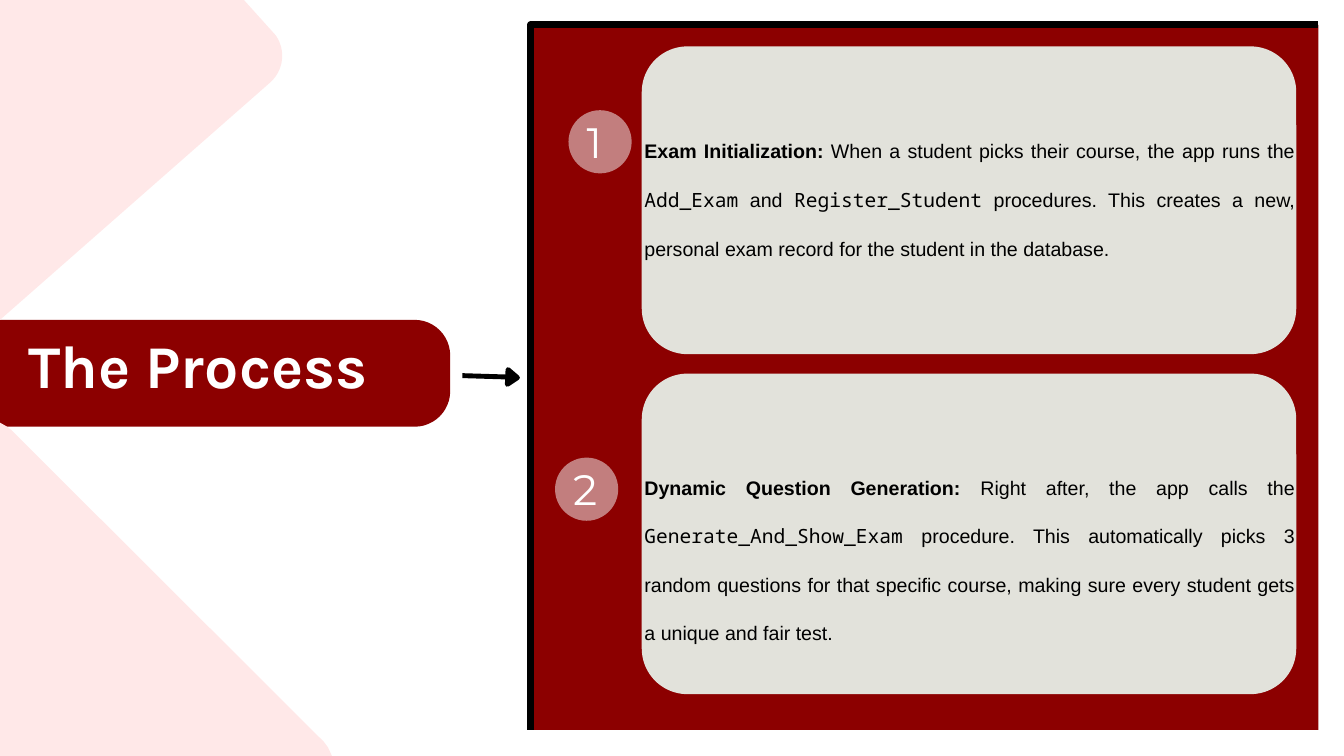
from dataclasses import dataclass
from math import cos, radians, sin

from lxml.etree import SubElement
from pptx import Presentation
from pptx.dml.color import RGBColor
from pptx.enum.shapes import MSO_CONNECTOR, MSO_SHAPE
from pptx.enum.text import PP_ALIGN
from pptx.oxml.ns import qn
from pptx.util import Inches, Pt


@dataclass
class Theme:
    red: str = "8C0000"
    rose: str = "C27E7E"
    pink: str = "FFE8E8"
    stone: str = "E2E2DB"
    black: str = "000000"
    white: str = "FFFFFF"
    head: str = "Karla"
    digit: str = "Montserrat"
    body: str = "Arial"
    code: str = "Noto Sans Mono"
    head_size: float = 65
    digit_size: float = 45.5
    body_size: float = 21
    frame: float = 7.5
    arrow: float = 5.25


def color(text):
    return RGBColor.from_string(text)


def arc(x, y, radius, start, end, steps=12):
    """Points on a circle, with angles in degrees clockwise from the right."""
    angles = [radians(start + (end - start) * i / steps) for i in range(steps + 1)]
    return [(x + radius * cos(a), y + radius * sin(a)) for a in angles]


class Painter:
    def __init__(self, slide, theme):
        self.shapes = slide.shapes
        self.theme = theme

    def paint(self, shape, fill=None, line=None, width=0):
        shape.shadow.inherit = False
        if fill:
            shape.fill.solid()
            shape.fill.fore_color.rgb = color(fill)
        else:
            shape.fill.background()
        if line:
            self.stroke(shape.line, line, width)
        else:
            shape.line.fill.background()

    def stroke(self, line, tone, width):
        line.color.rgb = color(tone)
        line.width = Pt(width)

    def block(self, kind, x, y, w, h, fill, radius=None):
        shape = self.shapes.add_shape(kind, Inches(x), Inches(y), Inches(w), Inches(h))
        if radius:
            shape.adjustments[0] = radius / min(w, h)
        self.paint(shape, fill)

    def outline(self, *paths, close=True, **style):
        maker = None
        for path in paths:
            first, *rest = [(Inches(x), Inches(y)) for x, y in path]
            if maker is None:
                maker = self.shapes.build_freeform(*first, scale=1.0)
            else:
                maker.move_to(*first)
            maker.add_line_segments(rest, close=close)
        self.paint(maker.convert_to_shape(), **style)

    def rule(self, x1, y1, x2, y2, tone, width):
        link = self.shapes.add_connector(
            MSO_CONNECTOR.STRAIGHT, Inches(x1), Inches(y1), Inches(x2), Inches(y2))
        self.stroke(link.line, tone, width)
        SubElement(link._element.spPr, qn("a:effectLst"))

    def text(self, x, y, w, h, runs, font, size, tone,
             bold=False, top=0.01, align=PP_ALIGN.LEFT, space=None):
        """Each run is its words and a style: plain, bold or code."""
        frame = self.shapes.add_textbox(Inches(x), Inches(y), Inches(w), Inches(h)).text_frame
        frame.word_wrap = True
        frame.margin_left, frame.margin_top = Inches(0.01), Inches(top)
        frame.margin_right = frame.margin_bottom = 0
        para = frame.paragraphs[0]
        para.alignment = align
        if space:
            para.line_spacing = space
        para.font.name, para.font.size, para.font.bold = font, Pt(size), bold
        para.font.color.rgb = color(tone)
        for words, style in runs:
            run = para.add_run()
            run.text = words
            if style == "bold":
                run.font.bold = True
            elif style == "code":
                run.font.name = self.theme.code

    def badge(self, x, y, digit):
        t = self.theme
        self.block(MSO_SHAPE.OVAL, x, y, 0.94, 0.94, t.rose)
        self.text(x + 0.26, y + 0.06, 0.38, 0.79, [(digit, "plain")],
                  t.digit, t.digit_size, t.white, top=0.02)

    def card(self, y, h, text_y, text_h, space, runs):
        t = self.theme
        self.block(MSO_SHAPE.ROUNDED_RECTANGLE, 9.55, y, 9.74, h, t.stone, 0.68)
        self.text(9.58, text_y, 9.69, text_h, runs, t.body, t.body_size, t.black,
                  align=PP_ALIGN.JUSTIFY, space=space)


def main():
    deck = Presentation()
    deck.slide_width, deck.slide_height = Inches(20), Inches(11.25)
    theme = Theme()
    art = Painter(deck.slides.add_slide(deck.slide_layouts[6]), theme)

    # Panel with its black frame
    left, top, right, low = 7.9, 0.37, 19.62, 10.86
    art.block(MSO_SHAPE.RECTANGLE, left, top, right - left, low - top, theme.red)
    art.outline([(left, low), (left, top), (right, top)],
                close=False, line=theme.black, width=theme.frame)

    # Title bar, rounded on the right
    curve = 0.53
    art.outline([(0, 4.76), *arc(6.7 - curve, 4.76 + curve, curve, -90, 0),
                 *arc(6.7 - curve, 6.35 - curve, curve, 0, 90), (0, 6.35)],
                fill=theme.red)
    art.text(0.41, 4.87, 5.55, 1.11, [("The Process", "plain")],
             theme.head, theme.head_size, theme.white, bold=True)

    # Arrow to the panel
    art.rule(6.88, 5.59, 7.54, 5.61, theme.black, theme.arrow)
    art.outline([(7.56, 5.5), (7.7, 5.62), (7.55, 5.72)],
                fill=theme.black, line=theme.black, width=theme.arrow)

    # Numbered steps
    art.badge(8.46, 1.64, "1")
    art.badge(8.26, 6.81, "2")
    art.card(0.69, 4.58, 1.68, 1.84, 2.08, [
        ("Exam Initialization:", "bold"),
        (" When a student picks their course, the app runs the ", "plain"),
        ("Add_Exam", "code"),
        (" and ", "plain"),
        ("Register_Student", "code"),
        (" procedures. This creates a new, personal exam record for the student"
         " in the database.", "plain"),
    ])
    art.card(5.56, 4.77, 6.7, 2.55, 2.06, [
        ("Dynamic Question Generation:", "bold"),
        (" Right after, the app calls the ", "plain"),
        ("Generate_And_Show_Exam", "code"),
        (" procedure. This automatically picks 3 random questions for that specific"
         " course, making sure every student gets a unique and fair test.", "plain"),
    ])

    # Pale corners on the left
    art.outline(
        [(0, 0), (3.63, 0), *arc(3.67, 0.83, 0.53, -35, 49), (0, 4.76)],
        [(0, 6.29), (0.09, 6.34), (0.17, 6.4), (4.82, 11.04), (4.88, 11.12),
         (4.94, 11.25), (0, 11.25)],
        fill=theme.pink)

    deck.save("out.pptx")


if __name__ == "__main__":
    main()
